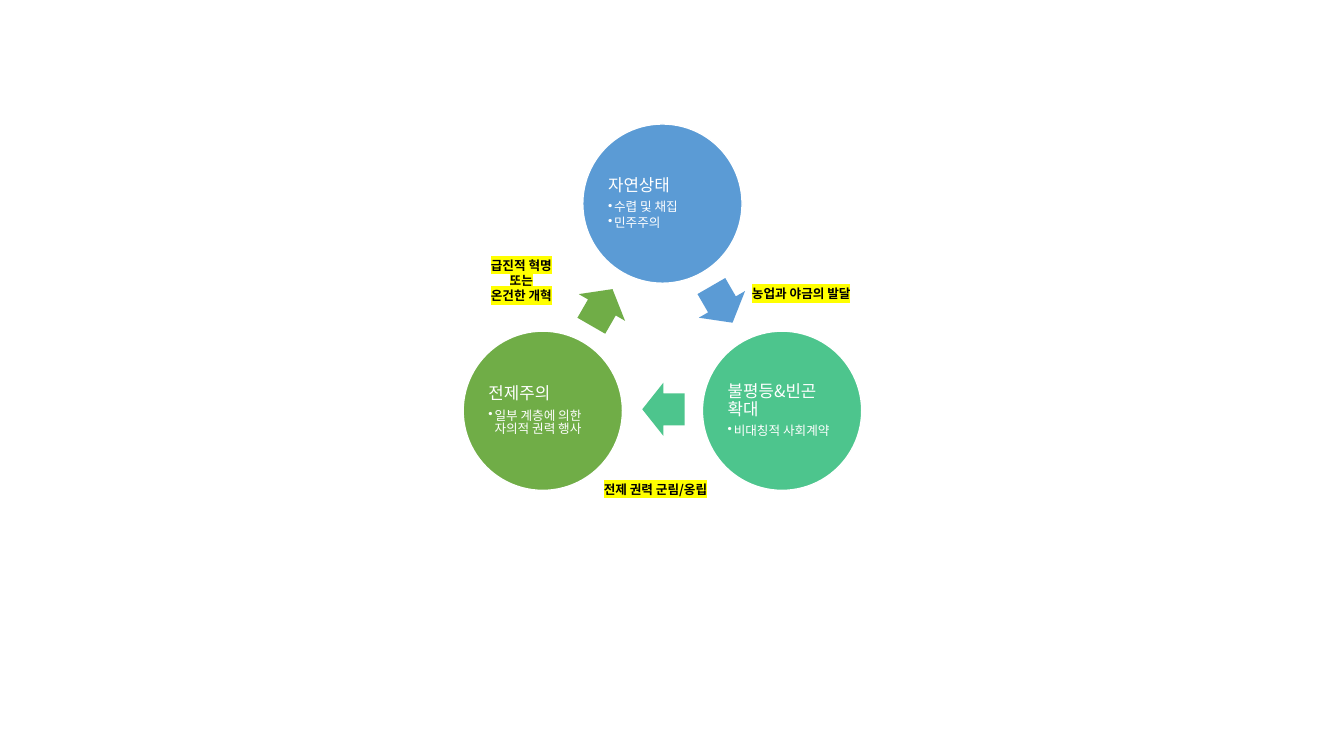
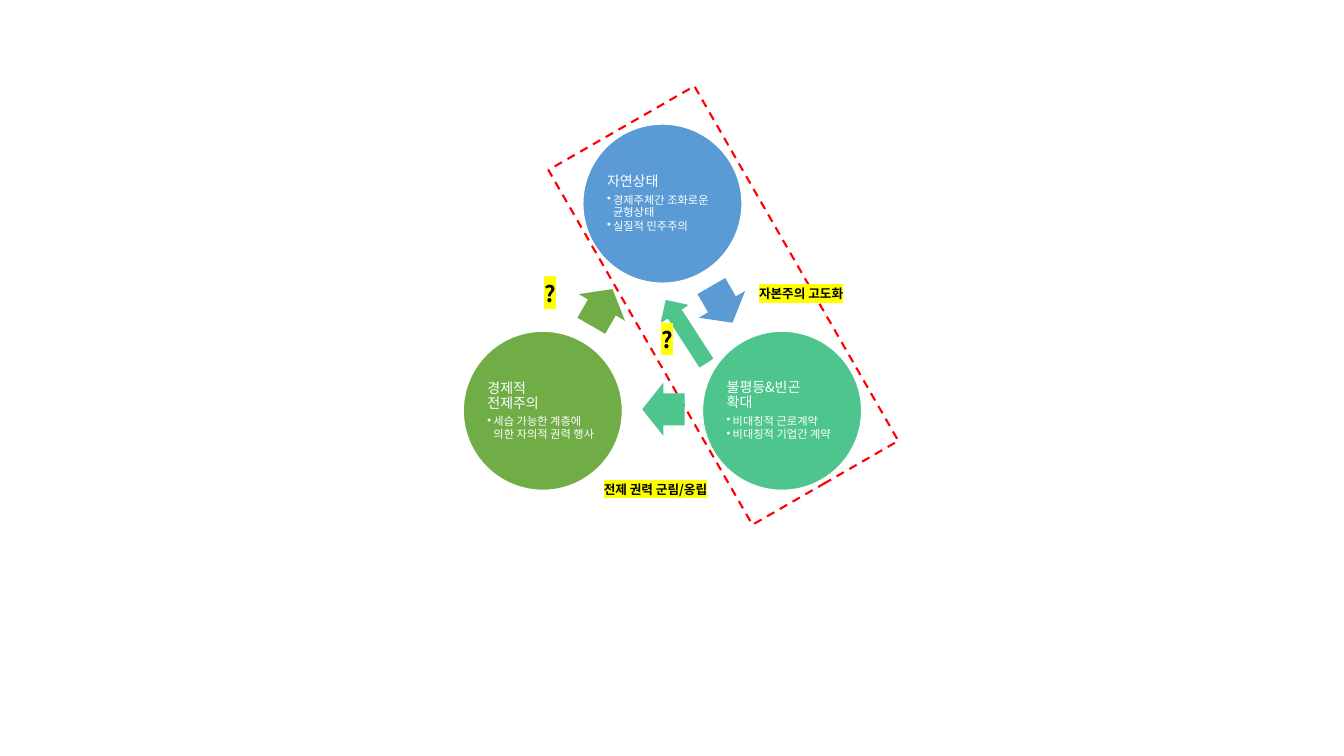
from copy import deepcopy
from math import cos, radians, sin

from lxml.etree import SubElement
from pptx import Presentation
from pptx.dml.color import RGBColor
from pptx.enum.dml import MSO_LINE
from pptx.enum.shapes import MSO_SHAPE as SHAPE
from pptx.enum.text import MSO_ANCHOR as ANCHOR, MSO_AUTO_SIZE as FIT, PP_ALIGN as AL
from pptx.oxml.ns import qn
from pptx.util import Pt

FONT = "Noto Sans CJK KR"
WHITE, BLACK, YELLOW, RED = "FFFFFF", "000000", "FFFF00", "FF0000"
BLUE, MINT, GREEN = "5B9BD5", "4DC58D", "70AD47"

CENTER_X, CENTER_Y, ORBIT, DIAMETER = 657, 339, 137, 158
ARROW_W, ARROW_H = 42, 53
STAGES = [(BLUE, (716, 302)), (MINT, (658, 406)), (GREEN, (597, 305))]
POWER_LABEL = (["전제 권력 군림/옹립"], (589, 473, 136, 25), 9, AL.LEFT)

SLIDES = [
    dict(
        title_size=12, bullet_size=9, inset=2,
        stages=[
            ("자연상태", ["수렵 및 채집", "민주주의"]),
            ("불평등&빈곤 확대", ["비대칭적 사회계약"]),
            ("전제주의", ["일부 계층에 의한 자의적 권력 행사"]),
        ],
        labels=[
            (["농업과 야금의 발달"], (736, 279, 130, 25), 9, AL.LEFT),
            POWER_LABEL,
            (["급진적 혁명\v또는", "온건한 개혁"], (473, 251, 88, 56), 9, AL.CENTER),
        ],
    ),
    dict(
        title_size=10, bullet_size=8, inset=1,
        stages=[
            ("자연상태", ["경제주체간 조화로운 균형상태", "실질적 민주주의"]),
            ("불평등&빈곤\v확대", ["비대칭적 근로계약", "비대칭적 기업간 계약"]),
            ("경제적\v전제주의", ["세습 가능한 계층에 의한 자의적 권력 행사"]),
        ],
        labels=[
            (["자본주의 고도화"], (743, 279, 113, 25), 9, AL.LEFT),
            POWER_LABEL,
            (["?"], (530, 273, 30, 37), 16, AL.CENTER),
            (["?"], (646, 319, 30, 37), 16, AL.CENTER),
        ],
        frame=((634, 100, 167, 406), 330.1),
        shortcut=((644, 314, 73, 30), 237.2),
    ),
]


def px(n):
    return round(n * 9144)


def rgb(color):
    return RGBColor.from_string(color)


def write(p, text, size, color=WHITE, bold=False, align=AL.LEFT, highlight=None):
    p.text = text
    p.alignment = align
    for r in p.runs:
        r.font.size, r.font.bold, r.font.name = Pt(size), bold, FONT
        r.font.color.rgb = rgb(color)
        props = r.font._element
        SubElement(props, qn("a:ea"), typeface=FONT)
        if highlight:
            mark = SubElement(props, qn("a:highlight"))
            SubElement(mark, qn("a:srgbClr"), val=highlight)
            props.find(qn("a:latin")).addprevious(mark)
    for br in p._p.findall(qn("a:br")):
        br.append(deepcopy(p.runs[0].font._element))


def add_shape(s, kind, box, fill=None, line=None, weight=1, rotation=0):
    sp = s.shapes.add_shape(kind, *map(px, box))
    sp.shadow.inherit = False
    sp.rotation = rotation
    if fill:
        sp.fill.solid()
        sp.fill.fore_color.rgb = rgb(fill)
    else:
        sp.fill.background()
    if line:
        sp.line.color.rgb = rgb(line)
        sp.line.width = Pt(weight)
    else:
        sp.line.fill.background()
    return sp


def centered(x, y, w, h):
    return x - w / 2, y - h / 2, w, h


def add_stage(s, i, color, title, bullets, content):
    angle = radians(120 * i - 90)
    x, y = CENTER_X + ORBIT * cos(angle), CENTER_Y + ORBIT * sin(angle)
    sp = add_shape(s, SHAPE.OVAL, centered(x, y, DIAMETER, DIAMETER), color, WHITE)
    tf = sp.text_frame
    tf.word_wrap = True
    tf.vertical_anchor = ANCHOR.MIDDLE
    tf.margin_left = tf.margin_right = tf.margin_top = tf.margin_bottom = px(content["inset"])
    p = tf.paragraphs[0]
    write(p, title, content["title_size"])
    p.line_spacing, p.space_after = 0.9, Pt(content["title_size"] * 0.35)
    for bullet in bullets:
        p = tf.add_paragraph()
        write(p, bullet, content["bullet_size"])
        p.level, p.line_spacing = 1, 0.9
        p.space_after = Pt(content["bullet_size"] * 0.15)
        props = p._p.get_or_add_pPr()
        props.set("marL", str(px(6)))
        props.set("indent", str(px(-6)))
        SubElement(props, qn("a:buChar"), char="•")


def add_cycle(s, content):
    for i, ((color, spot), (title, bullets)) in enumerate(zip(STAGES, content["stages"])):
        add_stage(s, i, color, title, bullets, content)
        arrow = add_shape(s, SHAPE.RIGHT_ARROW, centered(*spot, ARROW_W, ARROW_H),
                          color, rotation=60 + 120 * i)
        arrow.adjustments[0], arrow.adjustments[1] = 0.6, 0.5


def add_label(s, lines, box, size, align):
    tf = s.shapes.add_textbox(*map(px, box)).text_frame
    tf.word_wrap = False
    tf.auto_size = FIT.SHAPE_TO_FIT_TEXT
    for i, line in enumerate(lines):
        p = tf.add_paragraph() if i else tf.paragraphs[0]
        write(p, line, size, color=BLACK, bold=True, align=align, highlight=YELLOW)


def main():
    prs = Presentation()
    prs.slide_width, prs.slide_height = px(1333), px(750)
    for content in SLIDES:
        s = prs.slides.add_slide(prs.slide_layouts[6])
        if "frame" in content:
            box, rotation = content["frame"]
            frame = add_shape(s, SHAPE.RECTANGLE, box, line=RED, weight=1.5, rotation=rotation)
            frame.line.dash_style = MSO_LINE.DASH
        add_cycle(s, content)
        if "shortcut" in content:
            box, rotation = content["shortcut"]
            add_shape(s, SHAPE.RIGHT_ARROW, box, MINT, MINT, rotation=rotation)
        for label in content["labels"]:
            add_label(s, *label)
    prs.save("out.pptx")


if __name__ == "__main__":
    main()
